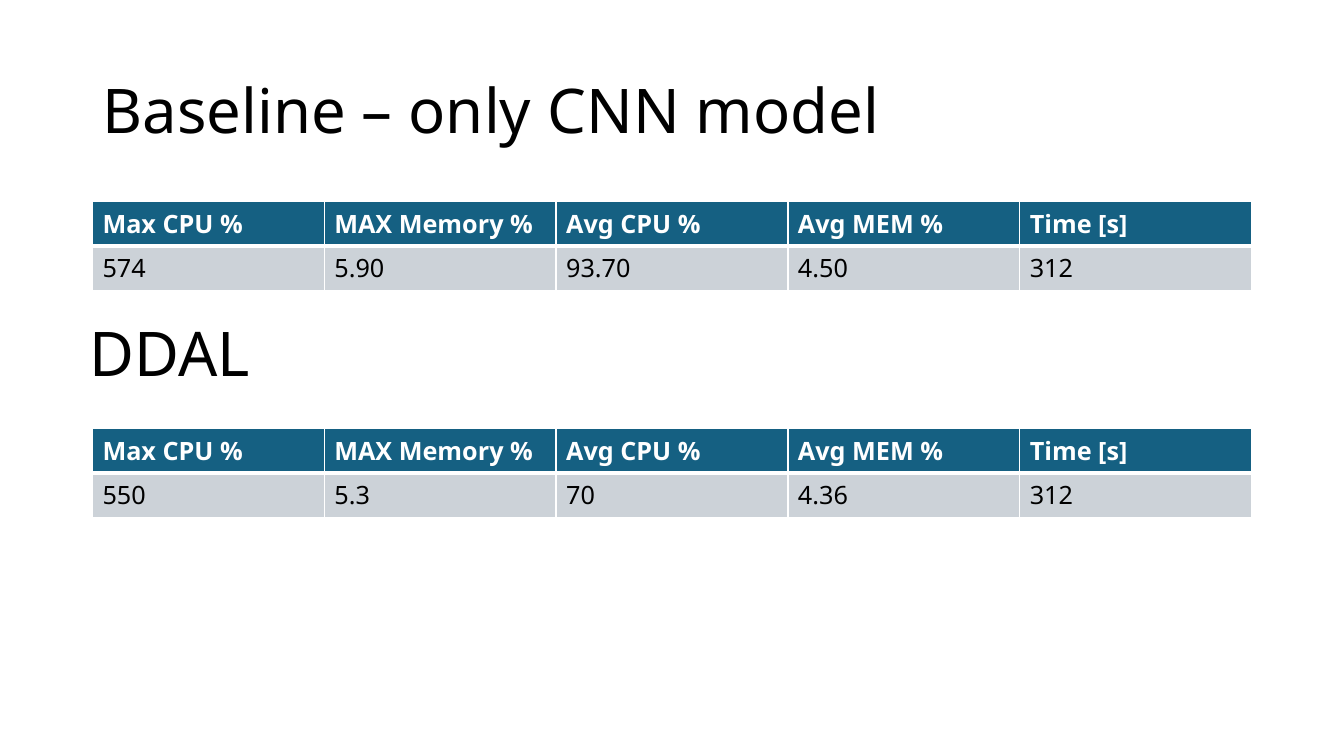
from lxml import etree
from pptx import Presentation
from pptx.dml.color import RGBColor
from pptx.enum import text
from pptx.oxml import ns
from pptx.util import Cm, Pt

HEADINGS = ("Baseline – only CNN model", "DDAL")
COLUMNS = ("Max CPU %", "MAX Memory %", "Avg CPU %", "Avg MEM %", "Time [s]")
BASELINE = ("574", "5.90", "93.70", "4.50", "312")
DDAL = ("550", "5.3", "70", "4.36", "312")

FONT = "Noto Sans"
BLACK = RGBColor(0x00, 0x00, 0x00)
WHITE = RGBColor(0xFF, 0xFF, 0xFF)
TEAL = RGBColor(0x15, 0x60, 0x82)
GREY = RGBColor(0xCC, 0xD2, 0xD8)

LEFT, WIDTH = Cm(2.33), Cm(29.21)
HEADING_HEIGHT, ROW_HEIGHT = Cm(3.68), Cm(1.03)


def style_paragraph(paragraph, size, color, bold=False):
    """Set the font of a whole paragraph."""
    paragraph.font.name = FONT
    paragraph.font.size = Pt(size)
    paragraph.font.bold = bold
    paragraph.font.color.rgb = color


def write_heading(shape, heading, left, top):
    """Place a heading and write its words."""
    shape.left, shape.top, shape.width, shape.height = left, top, WIDTH, HEADING_HEIGHT
    frame = shape.text_frame
    frame.text = heading
    frame.word_wrap = True
    frame.auto_size = text.MSO_AUTO_SIZE.NONE
    frame.vertical_anchor = text.MSO_ANCHOR.MIDDLE
    paragraph = frame.paragraphs[0]
    paragraph.alignment = text.PP_ALIGN.LEFT
    paragraph.line_spacing = 0.9
    style_paragraph(paragraph, 44, BLACK)


def add_borders(cell, top, bottom):
    """Draw white cell borders, with top and bottom widths in points."""
    properties = cell._tc.get_or_add_tcPr()
    for side, width in (("L", 1), ("R", 1), ("T", top), ("B", bottom)):
        line = etree.SubElement(properties, ns.qn(f"a:ln{side}"), w=str(Pt(width)))
        fill = etree.SubElement(line, ns.qn("a:solidFill"))
        etree.SubElement(fill, ns.qn("a:srgbClr"), val=str(WHITE))


def add_usage_table(slide, values, top):
    """Add a header row and one row of measurements."""
    rows = (
        (COLUMNS, TEAL, WHITE, True, 1, 3),
        (values, GREY, BLACK, False, 3, 1),
    )
    table = slide.shapes.add_table(
        len(rows), len(COLUMNS), LEFT, top, WIDTH, ROW_HEIGHT * len(rows)
    ).table
    for row, (words, fill, color, bold, above, below) in zip(table.rows, rows):
        row.height = ROW_HEIGHT
        for cell, word in zip(row.cells, words):
            cell.text = word
            style_paragraph(cell.text_frame.paragraphs[0], 18, color, bold)
            add_borders(cell, above, below)
            cell.fill.solid()
            cell.fill.fore_color.rgb = fill


def main():
    """Build the slide and save it."""
    presentation = Presentation()
    presentation.slide_width, presentation.slide_height = Cm(33.87), Cm(19.05)
    slide = presentation.slides.add_slide(presentation.slide_layouts[5])
    write_heading(slide.shapes.title, HEADINGS[0], LEFT, Cm(1.01))
    add_usage_table(slide, BASELINE, Cm(5.08))
    second_heading = slide.shapes.add_textbox(0, 0, WIDTH, HEADING_HEIGHT)
    write_heading(second_heading, HEADINGS[1], Cm(2.01), Cm(7.14))
    add_usage_table(slide, DDAL, Cm(10.8))
    presentation.save("out.pptx")


if __name__ == "__main__":
    main()
